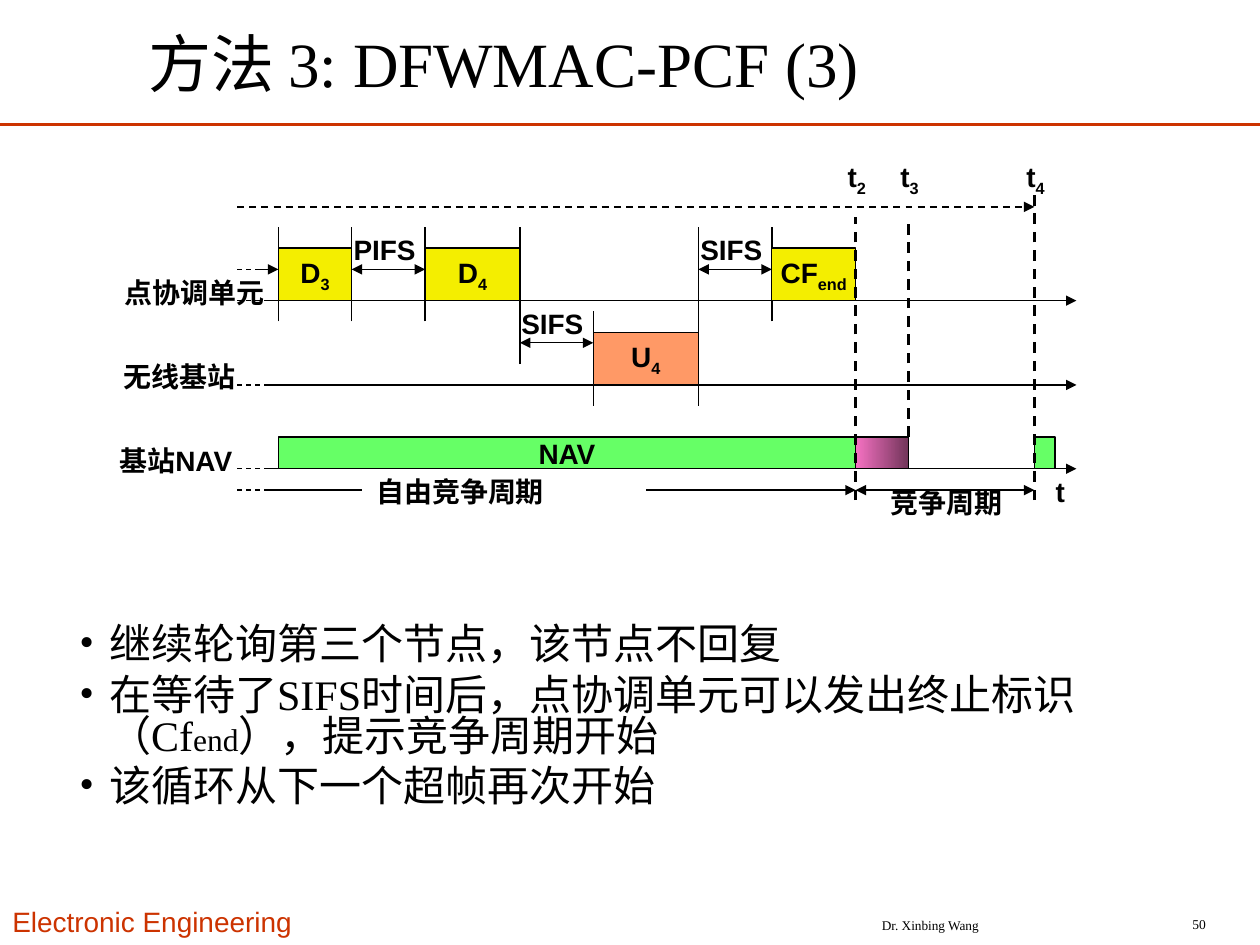
from lxml import etree
from pptx import Presentation
from pptx.dml.color import RGBColor
from pptx.enum.dml import MSO_LINE
from pptx.enum.shapes import MSO_CONNECTOR, MSO_SHAPE
from pptx.enum.text import MSO_ANCHOR, MSO_AUTO_SIZE, PP_ALIGN
from pptx.oxml.ns import qn
from pptx.util import Cm, Pt

# Content; all lengths in cm
RED, BLACK, YELLOW, GREEN, ORANGE = "CC3300", "000000", "F4EE00", "66FF66", "FF9966"
TITLE = "方法 3: DFWMAC-PCF (3)"
BULLETS = [
    "继续轮询第三个节点，该节点不回复",
    "在等待了SIFS时间后，点协调单元可以发出终止标识（Cf_end_），提示竞争周期开始",
    "该循环从下一个超帧再次开始",
]

# Time axis
LEAD, AXIS, AXIS_END = 4.78, 5.4, 21.7
D3, D3_END, D4, D4_END = 5.61, 7.09, 8.57, 10.48
U4, U4_END, CF_END = 11.96, 14.08, 15.56
T2, T3, T4, NEXT_NAV_END = 17.25, 18.31, 20.85, 21.27

# Rows
COORDINATOR, STATION, NAV = 6.06, 7.76, 9.45
SUPERFRAME, PERIODS = 4.17, 9.88
GAP_UPPER, GAP_LOWER = 5.43, 6.91
TICK_TOP, TICK_BOTTOM = 4.57, 6.48
ROW_STEP = STATION - COORDINATOR
FRAME_H, NAV_H, LABEL_H = 1.06, 0.64, 0.94

ticks = [  # x, top, bottom
    *[(x, TICK_TOP, TICK_BOTTOM) for x in (D3, D3_END, D4, CF_END)],
    (D4_END, TICK_TOP, 7.34),
    (U4, TICK_TOP + ROW_STEP, TICK_BOTTOM + ROW_STEP),
    (U4_END, TICK_TOP, TICK_BOTTOM + ROW_STEP),
]
frames = [  # text, start, end, row, height, fill
    ("D_3", D3, D3_END, COORDINATOR, FRAME_H, YELLOW),
    ("D_4", D4, D4_END, COORDINATOR, FRAME_H, YELLOW),
    ("CF_end", CF_END, T2, COORDINATOR, FRAME_H, YELLOW),
    ("U_4", U4, U4_END, STATION, FRAME_H, ORANGE),
    ("NAV", D3, T2, NAV, NAV_H, GREEN),
    ("", T2, T3, NAV, NAV_H, ("F672C3", "72355A")),
    ("", T4, NEXT_NAV_END, NAV, NAV_H, GREEN),
]
spans = [  # start, end, y, arrowheads
    (5.18, D3, GAP_UPPER, "tail"),
    (D3_END, D4, GAP_UPPER, "both"),
    (D4_END, U4, GAP_LOWER, "both"),
    (U4_END, CF_END, GAP_UPPER, "both"),
    (AXIS, 7.29, PERIODS, ""),
    (13.03, T2, PERIODS, "tail"),
    (T2, T4, PERIODS, "both"),
]
markers = [  # text, x, top, bottom
    ("t_2", T2, 4.37, 10.08),
    ("t_3", T3, 4.37, NAV - NAV_H),
    ("t_4", T4, 3.94, 10.08),
]
labels = [  # text, left, top, width
    ("点协调单元", 2.26, 5.43, 3.4),
    ("无线基站", 2.24, 7.12, 2.85),
    ("基站NAV", 2.16, 8.81, 3.15),
    ("PIFS", 6.88, 4.57, 1.85),
    ("SIFS", 10.26, 6.06, 1.85),
    ("SIFS", 13.87, 4.57, 1.85),
    ("自由竞争周期", 7.34, 9.45, 3.97),
    ("竞争周期", 17.7, 9.66, 2.85),
    ("t", 21.03, 9.45, 0.75),
]

prs = Presentation()
prs.slide_width, prs.slide_height = Cm(25.4), Cm(19.05)
slide = prs.slides.add_slide(prs.slide_layouts[6])
shapes = slide.shapes


def rgb(value):
    return RGBColor.from_string(value)


def write(frame, paragraphs, size=16, font="Arial", color=BLACK, bold=False,
          align=PP_ALIGN.LEFT, anchor=MSO_ANCHOR.TOP, wrap=False, grow=False,
          bullet=False, small=None):
    """Underscores switch to and from subscript, or to the small size if given."""
    frame.word_wrap, frame.vertical_anchor = wrap, anchor
    frame.auto_size = MSO_AUTO_SIZE.SHAPE_TO_FIT_TEXT if grow else MSO_AUTO_SIZE.NONE
    for i, text in enumerate(paragraphs):
        paragraph = frame.add_paragraph() if i else frame.paragraphs[0]
        paragraph.alignment = align
        if bullet:
            props = paragraph._p.get_or_add_pPr()
            props.set("marL", str(Cm(0.6)))
            props.set("indent", str(-Cm(0.6)))
            etree.SubElement(props, qn("a:buFont")).set("typeface", font)
            etree.SubElement(props, qn("a:buChar")).set("char", "•")
            paragraph.line_spacing = 0.8
            paragraph.space_before = Pt(6 if i else 0)
        for j, part in enumerate(text.split("_")):
            run = paragraph.add_run()
            run.text = part
            run.font.size, run.font.name, run.font.bold = Pt(size), font, bold
            run.font.color.rgb = rgb(color)
            if j % 2 and small:
                run.font.size = Pt(small)
            elif j % 2:
                run._r.get_or_add_rPr().set("baseline", "-25000")


def add_text(text, left, top, width, height, **fmt):
    box = shapes.add_textbox(Cm(left), Cm(top), Cm(width), Cm(height))
    write(box.text_frame, [text] if isinstance(text, str) else text, **fmt)


def add_line(x1, y1, x2, y2, width=0.75, color=BLACK, dash=False, heads=""):
    line = shapes.add_connector(MSO_CONNECTOR.STRAIGHT, Cm(x1), Cm(y1), Cm(x2), Cm(y2))
    line.line.width = Pt(width)
    line.line.color.rgb = rgb(color)
    if dash:
        line.line.dash_style = MSO_LINE.DASH
    for end in ("head", "tail"):
        if heads in (end, "both"):
            etree.SubElement(line.line._get_or_add_ln(), qn(f"a:{end}End")).set("type", "triangle")
    etree.SubElement(line._element.spPr, qn("a:effectLst"))


def add_frame(text, start, end, row, height, fill):
    block = shapes.add_shape(MSO_SHAPE.RECTANGLE, Cm(start), Cm(row - height),
                             Cm(end - start), Cm(height))
    block.shadow.inherit = False
    block.line.color.rgb, block.line.width = rgb(BLACK), Pt(0.75)
    if isinstance(fill, tuple):
        block.fill.gradient()
        block.fill.gradient_angle = 0
        for stop, color in zip(block.fill.gradient_stops, fill):
            stop.color.rgb = rgb(color)
    else:
        block.fill.solid()
        block.fill.fore_color.rgb = rgb(fill)
    if text:
        write(block.text_frame, [text], bold=True, align=PP_ALIGN.CENTER,
              anchor=MSO_ANCHOR.MIDDLE)


# Title and footer
add_line(0, 2.51, 25.4, 2.51, width=1.5, color=RED)
serif = dict(font="Times New Roman", wrap=True)
middle = dict(serif, anchor=MSO_ANCHOR.MIDDLE)
add_text(TITLE, 2.74, 0.38, 16.84, 1.75, size=36, **middle)
add_text("Electronic Engineering", 0, 18.11, 6.48, LABEL_H, color=RED, wrap=True, grow=True)
add_text("Dr. Xinbing Wang", 15.67, 18.34, 6.17, 0.64, size=7.6, align=PP_ALIGN.CENTER, **middle)
add_text("50", 22.45, 18.31, 2.11, 0.64, size=7.7, align=PP_ALIGN.RIGHT, **middle)

# Axes with dashed lead-ins
for row in (COORDINATOR, STATION, NAV):
    add_line(AXIS, row, AXIS_END, row, heads="tail")
for y in (COORDINATOR, STATION, NAV, GAP_UPPER, PERIODS):
    add_line(LEAD, y, AXIS, y, dash=True)
add_line(LEAD, SUPERFRAME, T4, SUPERFRAME, width=1, dash=True, heads="tail")

# Frames, ticks and intervals
for x, top, bottom in ticks:
    add_line(x, bottom, x, top)
for frame in frames:
    add_frame(*frame)
for start, end, y, heads in spans:
    add_line(start, y, end, y, heads=heads)

# Time markers and labels
for text, x, top, bottom in markers:
    add_line(x, bottom, x, top, width=1.5, dash=True)
    add_text(text, x - 0.41, 3.1, 0.95, 1.04, bold=True, grow=True)
for text, left, top, width in labels:
    add_text(text, left, top, width, LABEL_H, bold=True, grow=True)

# Explanation
add_text(BULLETS, 1.35, 12.53, 22.91, 4.28, size=24, bullet=True, small=18, **serif)

prs.save("out.pptx")
